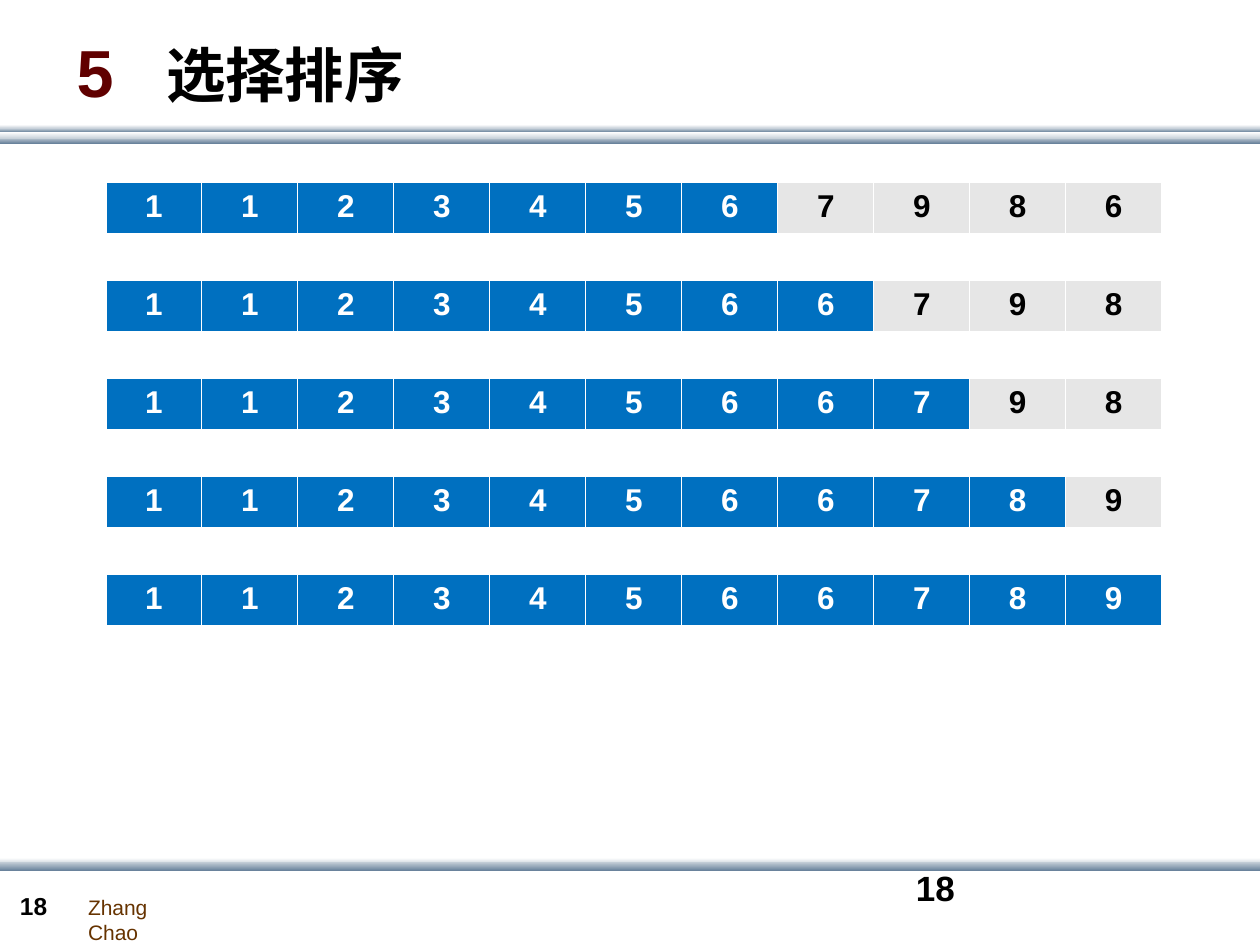
from dataclasses import dataclass

from lxml.etree import SubElement as Sub
from pptx import Presentation
from pptx.dml.color import RGBColor as Rgb
from pptx.enum.shapes import MSO_SHAPE as Form
from pptx.enum.text import MSO_ANCHOR as Anchor, PP_ALIGN as Align
from pptx.oxml.ns import qn
from pptx.slide import Slide
from pptx.util import Emu, Inches, Pt

WIDE, HIGH = Inches(10), Inches(7.5)
FONT = "Arial"
HUES = {
    "white": "FFFFFF", "mist": "C8D1DA", "steel": "6A839C",
    "done": "0070C0", "rest": "E6E6E6", "black": "000000",
    "brown": "663300", "maroon": "600000",
}


@dataclass(frozen=True)
class Box:
    """Position and size in percent of the slide."""
    x: float
    y: float
    w: float
    h: float

    def place(self) -> tuple[Emu, Emu, Emu, Emu]:
        return (Emu(int(WIDE * self.x / 100)), Emu(int(HIGH * self.y / 100)),
                Emu(int(WIDE * self.w / 100)), Emu(int(HIGH * self.h / 100)))


@dataclass(frozen=True)
class Band:
    y: float
    h: float
    top: str
    base: str


@dataclass(frozen=True)
class Word:
    text: str
    size: float
    hue: str
    bold: bool = True


@dataclass(frozen=True)
class Label:
    box: Box
    words: tuple[Word, ...]
    wrap: bool = True
    anchor: Anchor = Anchor.TOP
    tab: float = 0


@dataclass(frozen=True)
class Step:
    digits: str
    done: int


BANDS = (
    Band(14.53, 0.67, "mist", "steel"),
    Band(13.6, 0.4, "mist", "steel"),
    Band(14, 0.67, "white", "mist"),
    Band(13.2, 0.4, "white", "mist"),
    Band(90.8, 0.67, "white", "mist"),
    Band(91.2, 0.93, "mist", "steel"),
)
LABELS = (
    Label(Box(6, 94, 11.1, 4), (Word("Zhang Chao", 12, "brown", False),), wrap=False),
    Label(Box(0.6, 93.6, 5.5, 4.53), (Word("18", 14, "black"),)),
    Label(Box(71.7, 91.07, 23.3, 6.67), (Word("18", 20, "black"),)),
    Label(Box(5.1, 2.8, 90, 9.47),
          (Word("5\t", 38, "maroon"), Word("选择排序", 34, "black")),
          anchor=Anchor.MIDDLE, tab=0.71),
)
STEPS = (
    Step("11234567986", 7),
    Step("11234566798", 8),
    Step("11234566798", 9),
    Step("11234566789", 10),
    Step("11234566789", 11),
)
FIRST = Box(8.4, 19.33, 83.8, 5.47)
PITCH = 10.37
EDGES = {"lnL": 0.45, "lnR": 0.45, "lnT": 0.45, "lnB": 1.47}


def tint(name: str) -> Rgb:
    return Rgb.from_string(HUES[name])


def style(run, size: float, hue: str, bold: bool) -> None:
    font = run.font
    font.name, font.size, font.bold = FONT, Pt(size), bold
    font.color.rgb = tint(hue)


def draw_band(slide: Slide, band: Band) -> None:
    bar = slide.shapes.add_shape(Form.RECTANGLE, *Box(0, band.y, 100, band.h).place())
    bar.shadow.inherit = False
    bar.line.fill.background()
    bar.fill.gradient()
    bar.fill.gradient_angle = 270
    for stop, hue, pos in zip(bar.fill.gradient_stops, (band.top, band.base), (0, 1)):
        stop.color.rgb = tint(hue)
        stop.position = pos


def draw_label(slide: Slide, label: Label) -> None:
    frame = slide.shapes.add_textbox(*label.box.place()).text_frame
    frame.word_wrap = label.wrap
    frame.vertical_anchor = label.anchor
    para = frame.paragraphs[0]
    if label.tab:
        tabs = Sub(para._p.get_or_add_pPr(), qn("a:tabLst"))
        Sub(tabs, qn("a:tab"), pos=str(Inches(label.tab)), algn="l")
    for word in label.words:
        run = para.add_run()
        run.text = word.text
        style(run, word.size, word.hue, word.bold)


def draw_edges(cell) -> None:
    props = cell._tc.get_or_add_tcPr()
    for index, (side, width) in enumerate(EDGES.items()):
        line = Sub(props, qn(f"a:{side}"), w=str(Pt(width)))
        Sub(Sub(line, qn("a:solidFill")), qn("a:srgbClr"), val=HUES["white"])
        props.insert(index, line)


def draw_step(slide: Slide, step: Step, row: int) -> None:
    box = Box(FIRST.x, FIRST.y + row * PITCH, FIRST.w, FIRST.h)
    count = len(step.digits)
    table = slide.shapes.add_table(1, count, *box.place()).table
    table.first_row = table.horz_banding = False
    for col, digit in enumerate(step.digits):
        done = col < step.done
        cell = table.cell(0, col)
        cell.fill.solid()
        cell.fill.fore_color.rgb = tint("done" if done else "rest")
        draw_edges(cell)
        cell.text_frame.text = digit
        para = cell.text_frame.paragraphs[0]
        para.alignment = Align.CENTER
        style(para.runs[0], 18, "white" if done else "black", True)


def main() -> None:
    deck = Presentation()
    deck.slide_width, deck.slide_height = WIDE, HIGH
    slide = deck.slides.add_slide(deck.slide_layouts[6])
    for band in BANDS:
        draw_band(slide, band)
    for row, step in enumerate(STEPS):
        draw_step(slide, step, row)
    for label in LABELS:
        draw_label(slide, label)
    deck.save("out.pptx")


if __name__ == "__main__":
    main()
